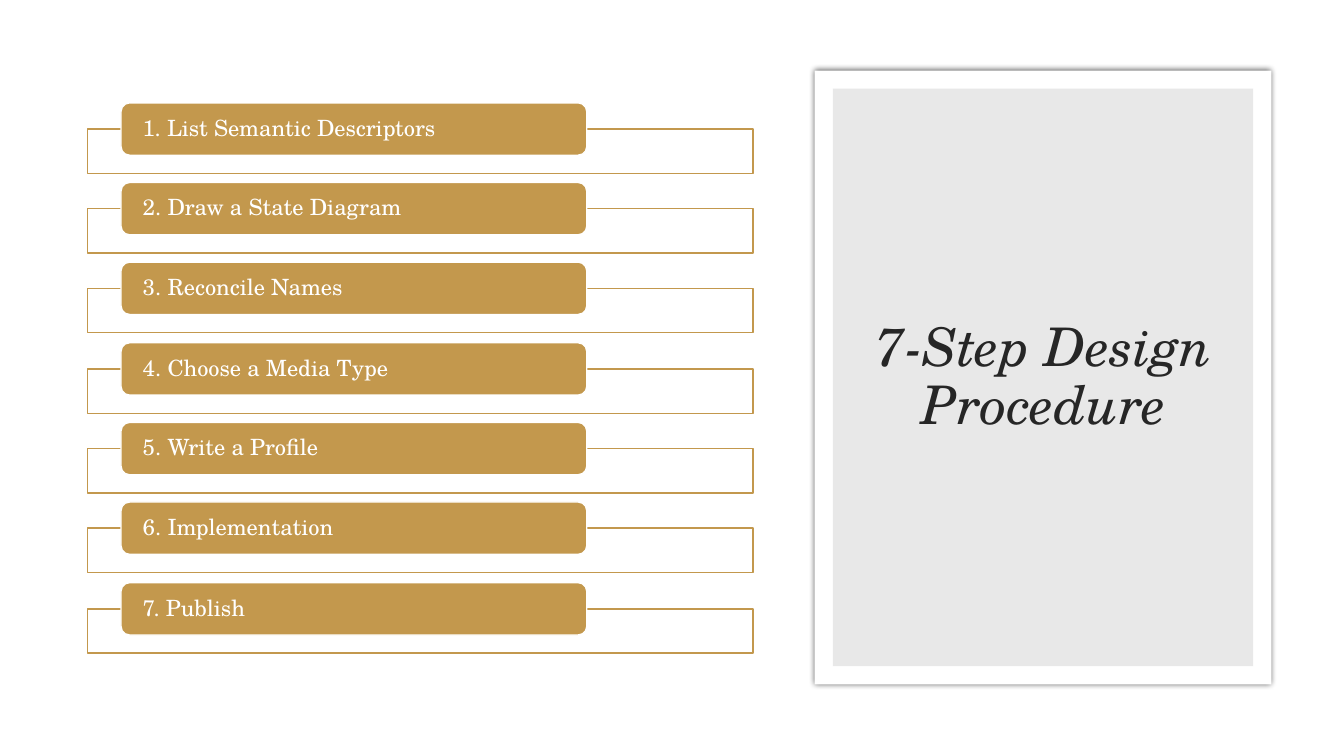
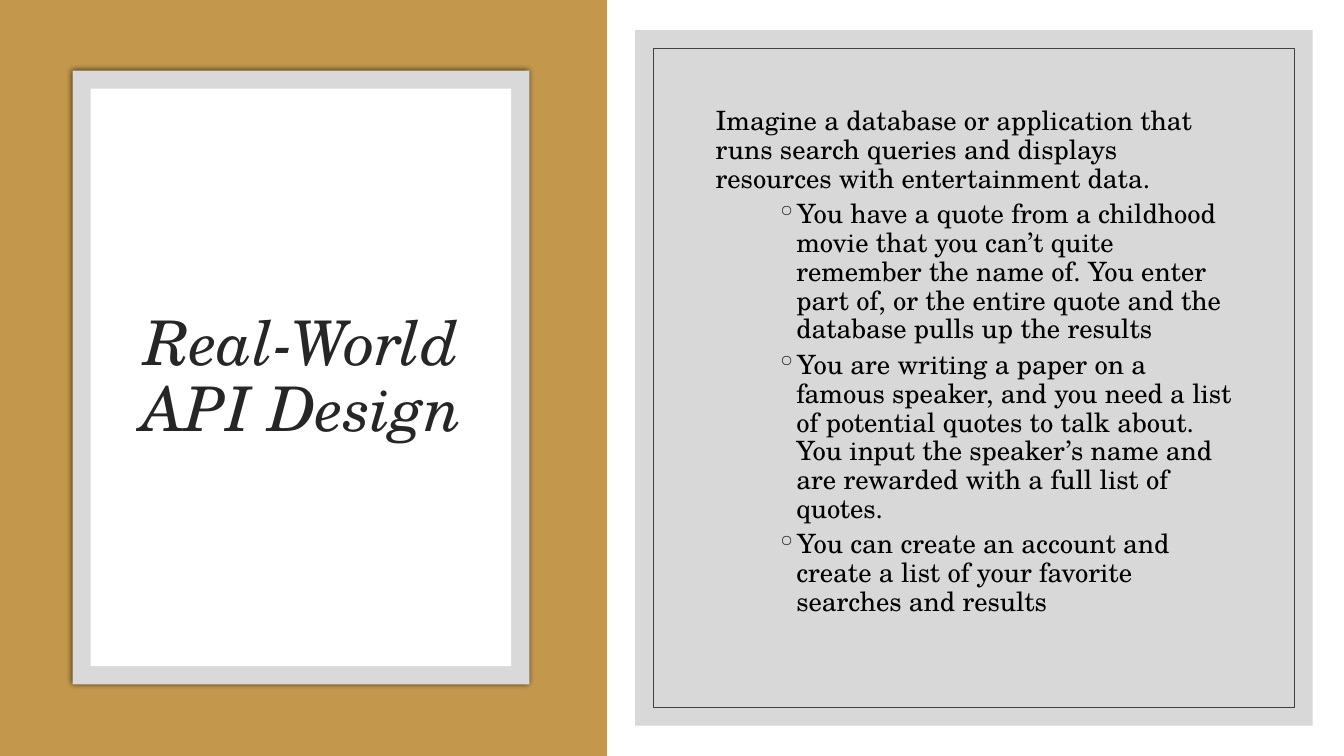
import pptx
import pptx.dml.color
import pptx.enum.shapes
import pptx.enum.text
import pptx.oxml
import pptx.oxml.ns
import pptx.util

PX = 9144
SLIDE_W, SLIDE_H = 1333, 750
FONT = "TeX Gyre Schola"
COLORS = {
    "paper": "FFFFFF",
    "gold": "C3984D",
    "mat": "D9D9D9",
    "panel": "BFBFBF",
    "rule": "404040",
    "title": "262626",
    "body": "000000",
}
STEPS = [
    "1. List Semantic Descriptors",
    "2. Draw a State Diagram",
    "3. Reconcile Names",
    "4. Choose a Media Type",
    "5. Write a Profile",
    "6. Implementation",
    "7. Publish",
]
SCENARIO = (
    "Imagine a database or application that runs search queries and displays "
    "resources with entertainment data."
)
USES = [
    "You have a quote from a childhood movie that you can’t quite remember the name of. "
    "You enter part of, or the entire quote and the database pulls up the results",
    "You are writing a paper on a famous speaker, and you need a list of potential quotes "
    "to talk about. You input the speaker’s name and are rewarded with a full list of quotes.",
    "You can create an account and create a list of your favorite searches and results",
]
SHAPES = pptx.enum.shapes.MSO_SHAPE
ANCHOR = pptx.enum.text.MSO_ANCHOR
ALIGN = pptx.enum.text.PP_ALIGN


def rgb(name):
    return pptx.dml.color.RGBColor.from_string(COLORS[name])


def emu(box):
    return [pptx.util.Emu(length * PX) for length in box]


def xml(markup):
    namespace = pptx.oxml.ns.nsdecls("a")
    return pptx.oxml.parse_xml(markup.replace("NS", namespace, 1))


def add_block(slide, box, fill=None, opacity=100, line=None, line_width=1,
              kind=SHAPES.RECTANGLE):
    block = slide.shapes.add_shape(kind, *emu(box))
    block.shadow.inherit = False
    if fill:
        block.fill.solid()
        block.fill.fore_color.rgb = rgb(fill)
        if opacity < 100:
            tint = block.fill._xPr.find(".//" + pptx.oxml.ns.qn("a:srgbClr"))
            tint.append(xml(f'<a:alpha NS val="{opacity * 1000}"/>'))
    else:
        block.fill.background()
    if line:
        block.line.color.rgb = rgb(line)
        block.line.width = pptx.util.Pt(line_width)
    else:
        block.line.fill.background()
    return block


def add_glow(block):
    effects = block._element.spPr.find(pptx.oxml.ns.qn("a:effectLst"))
    effects.append(xml(
        '<a:outerShdw NS blurRad="50800" dist="0" dir="0" algn="ctr" rotWithShape="0">'
        '<a:srgbClr val="000000"><a:alpha val="66000"/></a:srgbClr></a:outerShdw>'
    ))


def style_frame(frame, anchor, side, edge):
    frame.word_wrap = True
    frame.vertical_anchor = anchor
    frame.margin_left = frame.margin_right = pptx.util.Emu(side * PX)
    frame.margin_top = frame.margin_bottom = pptx.util.Emu(edge * PX)


def style_paragraph(paragraph, size, color, align=ALIGN.LEFT, italic=False, before=0):
    paragraph.alignment = align
    paragraph.line_spacing = 0.9
    paragraph.space_before = pptx.util.Pt(before)
    for run in paragraph.runs:
        run.font.name = FONT
        run.font.size = pptx.util.Pt(size)
        run.font.italic = italic
        run.font.color.rgb = rgb(color)


def add_bullet(paragraph):
    properties = paragraph._p.get_or_add_pPr()
    properties.set("marL", str(80 * PX))
    properties.set("indent", str(-20 * PX))
    properties.append(xml(f'<a:buClr NS><a:srgbClr val="{COLORS["title"]}"/></a:buClr>'))
    properties.append(xml('<a:buChar NS char="◦"/>'))


def add_title_card(slide, box, title, size, mat, face, opacity=100):
    left, top, width, height = box
    add_glow(add_block(slide, box, mat))
    add_block(slide, (left + 18, top + 18, width - 36, height - 36), face, opacity)
    heading = slide.shapes.add_textbox(
        *emu((left + 38, top + 49, width - 74, height - 96)))
    heading.text_frame.text = title
    style_frame(heading.text_frame, ANCHOR.MIDDLE, 10, 5)
    style_paragraph(heading.text_frame.paragraphs[0], size, "title", ALIGN.CENTER, True)


def add_step_list(slide, box, steps):
    left, top, width, height = box
    tray_height, label_height, label_rise = 44, 52, 26
    travel = height - label_rise - tray_height
    for index, step in enumerate(steps):
        step_top = top + travel * index // (len(steps) - 1)
        add_block(slide, (left, step_top + label_rise, width, tray_height),
                  "paper", 90, "gold")
        label = add_block(slide, (left + 33, step_top, width * 7 // 10, label_height),
                          "gold", line="paper", kind=SHAPES.ROUNDED_RECTANGLE)
        label.text_frame.text = step
        style_frame(label.text_frame, ANCHOR.MIDDLE, 19, 0)
        style_paragraph(label.text_frame.paragraphs[0], 16, "paper")


def add_scenario_panel(slide, box, scenario, uses):
    left, top, width, height = box
    add_block(slide, box, "panel", 60)
    add_block(slide, (left + 18, top + 18, width - 36, height - 36),
              line="rule", line_width=0.5)
    story = slide.shapes.add_textbox(
        *emu((left + 70, top + 72, width - 139, height - 145)))
    frame = story.text_frame
    style_frame(frame, ANCHOR.TOP, 10, 5)
    frame.text = scenario
    style_paragraph(frame.paragraphs[0], 19, "body")
    for use in uses:
        paragraph = frame.add_paragraph()
        paragraph.text = use
        style_paragraph(paragraph, 19, "body", before=5)
        add_bullet(paragraph)


def add_slide(deck):
    slide = deck.slides.add_slide(deck.slide_layouts[6])
    add_block(slide, (0, 0, SLIDE_W, SLIDE_H), "paper")
    return slide


def build_procedure_slide(deck):
    slide = add_slide(deck)
    add_title_card(slide, (808, 70, 453, 609), "7-Step Design Procedure", 38,
                   "paper", "mat", 60)
    add_step_list(slide, (87, 102, 660, 546), STEPS)


def build_scenario_slide(deck):
    slide = add_slide(deck)
    add_block(slide, (0, 0, 602, SLIDE_H), "gold")
    add_title_card(slide, (72, 70, 453, 609), "Real-World API Design", 44, "mat", "paper")
    add_scenario_panel(slide, (630, 30, 672, 690), SCENARIO, USES)


def main():
    deck = pptx.Presentation()
    deck.slide_width, deck.slide_height = emu((SLIDE_W, SLIDE_H))
    build_procedure_slide(deck)
    build_scenario_slide(deck)
    deck.save("out.pptx")


if __name__ == "__main__":
    main()
